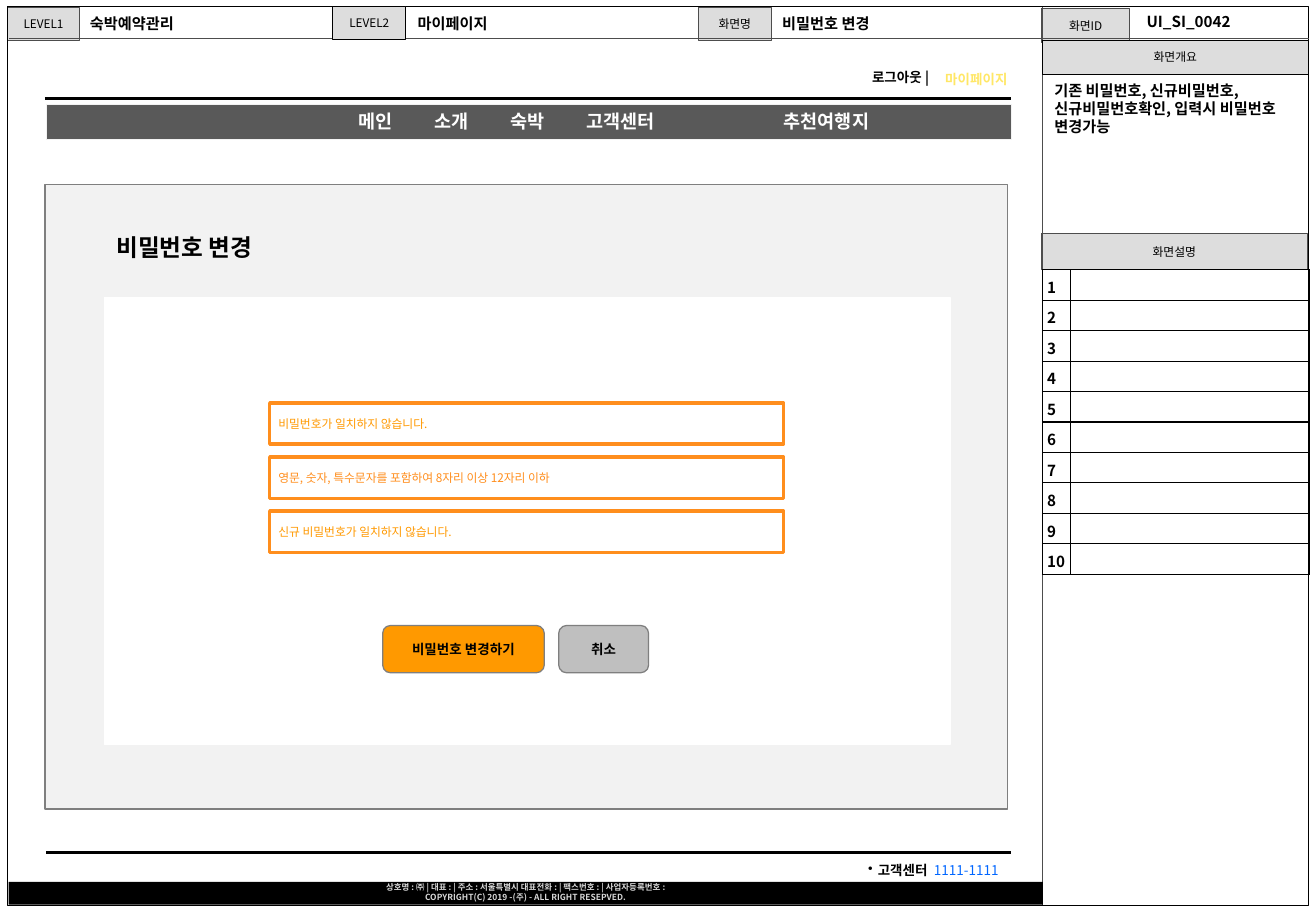
from lxml import etree
from pptx import Presentation
from pptx import util as u
from pptx.dml import color
from pptx.enum import shapes, text
from pptx.oxml import ns

FONT = "Noto Sans CJK KR"
BLACK, WHITE, RULE, LABEL = "000000", "FFFFFF", "4D4D4D", "DDDDDD"
ORANGE, FIELD_ORANGE = "FF9900", "FF8E1D"
LEFT, CENTER, RIGHT = text.PP_ALIGN.LEFT, text.PP_ALIGN.CENTER, text.PP_ALIGN.RIGHT
TOP, MIDDLE = text.MSO_ANCHOR.TOP, text.MSO_ANCHOR.MIDDLE


def colour(hex_code):
    """Turn a hex string into a colour."""
    return color.RGBColor.from_string(hex_code)


def add_child(parent, tag, **attributes):
    """Append a drawing element to a parent element."""
    return etree.SubElement(parent, ns.qn(tag), attributes)


def add_run(paragraph, words, size, ink=BLACK, bold=False):
    """Add one formatted run to a paragraph."""
    run = paragraph.add_run()
    run.text = words
    run.font.size = u.Pt(size)
    run.font.bold = bold
    run.font.color.rgb = colour(ink)
    run.font.name = FONT
    add_child(run.font._element, "a:ea", typeface=FONT)


def write(frame, lines, size, ink=BLACK, bold=False, align=LEFT, anchor=TOP):
    """Fill a text frame with one paragraph per line."""
    frame.word_wrap = True
    frame.auto_size = text.MSO_AUTO_SIZE.NONE
    frame.vertical_anchor = anchor
    for index, line in enumerate(lines):
        paragraph = frame.add_paragraph() if index else frame.paragraphs[0]
        paragraph.alignment = align
        add_run(paragraph, line, size, ink, bold)


def add_box(slide, place, fill=None, line=None, width=0.75,
            kind=shapes.MSO_SHAPE.RECTANGLE):
    """Add a flat preset shape at a place given in centimetres."""
    box = slide.shapes.add_shape(kind, *map(u.Cm, place))
    box.shadow.inherit = False
    if fill:
        box.fill.solid()
        box.fill.fore_color.rgb = colour(fill)
    else:
        box.fill.background()
    if line:
        box.line.color.rgb = colour(line)
        box.line.width = u.Pt(width)
    else:
        box.line.fill.background()
    return box


def add_label(slide, words, place, line=RULE):
    """Add a grey caption cell."""
    label = add_box(slide, place, LABEL, line, 0.5)
    write(label.text_frame, [words], 7, align=CENTER, anchor=MIDDLE)


def add_text(slide, words, place, size, ink=BLACK):
    """Add a bold text box."""
    box = slide.shapes.add_textbox(*map(u.Cm, place))
    write(box.text_frame, [words], size, ink, True)


def add_rule(slide, ends, width, ink=BLACK):
    """Add a straight line between two points."""
    rule = slide.shapes.add_connector(shapes.MSO_CONNECTOR.STRAIGHT, *map(u.Cm, ends))
    rule.line.color.rgb = colour(ink)
    rule.line.width = u.Pt(width)
    add_child(rule._element.spPr, "a:effectLst")


def add_button(slide, words, place, fill):
    """Add a rounded button."""
    button = add_box(slide, place, fill, "7F7F7F",
                     kind=shapes.MSO_SHAPE.ROUNDED_RECTANGLE)
    write(button.text_frame, [words], 8, bold=True, align=CENTER, anchor=MIDDLE)


def add_field(slide, message, top, ink):
    """Add an input field with its message."""
    field = add_box(slide, (5.64, top, 10.74, 0.86), WHITE, FIELD_ORANGE, 2)
    field.text_frame.margin_left = u.Cm(0.18)
    write(field.text_frame, [message], 7, ink, anchor=MIDDLE)


def add_menu(slide, items):
    """Add the menu bar with evenly tabbed items."""
    bar = add_box(slide, (0.97, 2.18, 20.17, 0.74), "595959", "F2F2F2")
    frame = bar.text_frame
    frame.margin_left = u.Cm(6.52)
    properties = frame.paragraphs[0]._p.get_or_add_pPr()
    stops = add_child(properties, "a:tabLst")
    for index in range(1, len(items)):
        add_child(stops, "a:tab", pos=str(u.Cm(1.59 * index)), algn="l")
    write(frame, ["\t".join(items)], 11, WHITE, True)


def add_contact(slide):
    """Add the bulleted customer centre line."""
    box = slide.shapes.add_textbox(*map(u.Cm, (17.65, 17.91, 3.48, 0.61)))
    box.text_frame.word_wrap = True
    contact = box.text_frame.paragraphs[0]
    properties = contact._p.get_or_add_pPr()
    properties.set("marL", str(u.Cm(0.2)))
    properties.set("indent", str(-u.Cm(0.2)))
    bullet_ink = add_child(properties, "a:buClr")
    add_child(bullet_ink, "a:srgbClr", val=BLACK)
    add_child(properties, "a:buChar", char="•")
    contact.alignment = RIGHT
    add_run(contact, "고객센터 ", 8, bold=True)
    add_run(contact, " 1111-1111", 8, "0066FF")


def add_borders(cell):
    """Draw thin black borders around a cell."""
    properties = cell._tc.get_or_add_tcPr()
    for position, side in enumerate(("a:lnL", "a:lnR", "a:lnT", "a:lnB")):
        border = etree.Element(ns.qn(side), w=str(u.Pt(0.75)))
        fill = add_child(border, "a:solidFill")
        add_child(fill, "a:srgbClr", val=BLACK)
        properties.insert(position, border)


def add_descriptions(slide, count):
    """Add the numbered, empty description table."""
    place = (21.79, 5.64, 5.58, 0.62 * count)
    table = slide.shapes.add_table(count, 2, *map(u.Cm, place)).table
    table.first_row = table.horz_banding = False
    table.columns[0].width, table.columns[1].width = u.Cm(0.58), u.Cm(5)
    for number, row in enumerate(table.rows, 1):
        row.height = u.Cm(0.62)
        for cell in row.cells:
            cell.fill.background()
            cell.margin_left = cell.margin_right = u.Cm(0.1)
            add_borders(cell)
        add_run(row.cells[0].text_frame.paragraphs[0], str(number), 9, bold=True)
        blank = row.cells[1].text_frame.paragraphs[0]
        add_child(blank._p, "a:endParaRPr", sz="900")


def add_title(slide, words):
    """Place the title placeholder above the panel."""
    title = slide.shapes.title
    title.left, title.top, title.width, title.height = map(u.Cm, (2.18, 4.75, 6.12, 0.86))
    write(title.text_frame, [words], 14, bold=True)
    slide.shapes._spTree.append(title._element)


def add_header(slide):
    """Build the document frame and its captions."""
    add_label(slide, "LEVEL1", (0.15, 0.15, 1.52, 0.69))
    add_label(slide, "화면명", (14.6, 0.15, 1.52, 0.69))
    add_label(slide, "화면설명", (21.77, 4.88, 5.56, 0.76))
    add_label(slide, "화면ID", (21.77, 0.18, 1.85, 0.71))
    add_rule(slide, (21.79, 0.13, 21.79, 18.92), 0.75, RULE)
    add_box(slide, (0.15, 0.13, 27.2, 18.8), line=BLACK)
    add_rule(slide, (0.18, 0.81, 27.36, 0.81), 0.5, RULE)
    add_label(slide, "화면개요", (21.79, 0.84, 5.56, 0.71), BLACK)
    add_label(slide, "LEVEL2", (6.96, 0.13, 1.52, 0.69), BLACK)
    for words, left, top in (("숙박예약관리", 1.63, 0.18), ("마이페이지", 8.48, 0.18),
                             ("비밀번호 변경", 16.1, 0.18), ("UI_SI_0042", 23.72, 0.13)):
        add_text(slide, words, (left, top, 3.6, 0.64), 9)


def main():
    """Build the password change screen."""
    deck = Presentation()
    deck.slide_width, deck.slide_height = u.Cm(27.51), u.Cm(19.05)
    slide = deck.slides.add_slide(deck.slide_layouts[5])
    add_header(slide)

    add_rule(slide, (0.94, 2.06, 21.13, 2.06), 2.25)
    add_text(slide, "로그아웃 |", (17.98, 1.32, 2, 0.61), 8)
    add_text(slide, "마이페이지", (19.51, 1.37, 2.06, 0.61), 8, "FFE766")
    add_menu(slide, ("메인", "소개", "숙박", "고객센터"))
    add_text(slide, "추천여행지", (16.13, 2.18, 4.29, 0.74), 11, WHITE)

    add_box(slide, (0.94, 3.86, 20.12, 13.06), "F2F2F2", "7F7F7F")
    add_box(slide, (2.18, 6.22, 17.68, 9.35), WHITE, WHITE)
    add_title(slide, "비밀번호 변경")
    messages = (("비밀번호가 일치하지 않습니다.", ORANGE),
                ("영문, 숫자, 특수문자를 포함하여 8자리 이상 12자리 이하", FIELD_ORANGE),
                ("신규 비밀번호가 일치하지 않습니다.", ORANGE))
    for index, (message, ink) in enumerate(messages):
        add_field(slide, message, 8.43 + 1.13 * index, ink)
    add_button(slide, "비밀번호 변경하기", (8, 13.08, 3.38, 0.99), ORANGE)
    add_button(slide, "취소", (11.68, 13.08, 1.88, 0.99), "BFBFBF")

    add_rule(slide, (0.97, 17.83, 21.13, 17.83), 2)
    add_contact(slide)
    footer = add_box(slide, (0.18, 18.44, 21.62, 0.48), BLACK)
    footer.text_frame.margin_top = footer.text_frame.margin_bottom = 0
    write(footer.text_frame,
          ["상호명 : ㈜ | 대표 : | 주소 : 서울특별시 대표전화 : | 팩스번호 : | 사업자등록번호 :",
           "COPYRIGHT(C) 2019 -(주) - ALL RIGHT RESEPVED."], 5, "D8D8D8", True, CENTER)

    add_text(slide, "기존 비밀번호, 신규비밀번호, 신규비밀번호확인, 입력시 비밀번호 변경가능",
             (21.79, 1.57, 5.59, 1.37), 9)
    add_descriptions(slide, 10)
    deck.save("out.pptx")


if __name__ == "__main__":
    main()
